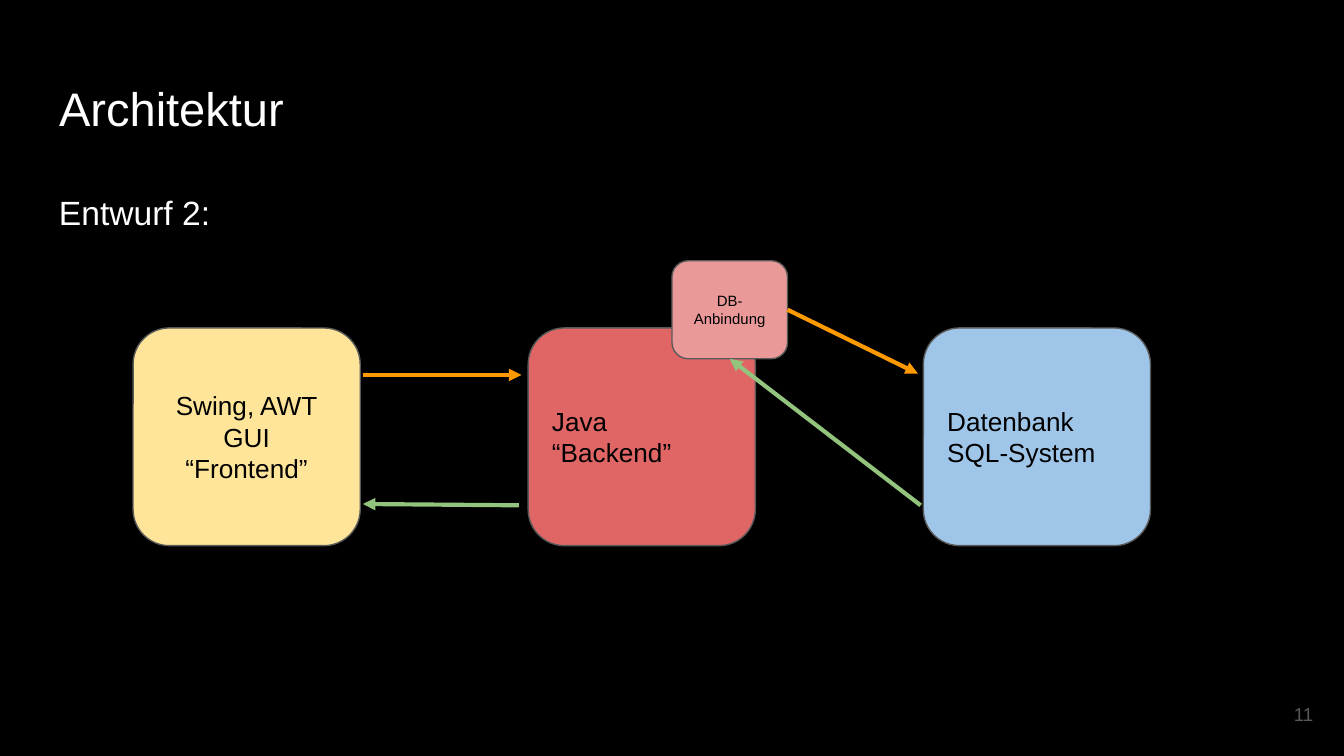
import pptx
import pptx.util
from lxml import etree
from pptx.dml.color import RGBColor
from pptx.enum.shapes import MSO_CONNECTOR, MSO_SHAPE
from pptx.enum.text import MSO_ANCHOR, MSO_AUTO_SIZE, PP_ALIGN
from pptx.oxml.ns import qn
from pptx.util import Inches, Pt

SLIDE_WIDTH = 10
SLIDE_HEIGHT = SLIDE_WIDTH * 9 / 16
WHITE, BLACK, GREY = "FFFFFF", "000000", "595959"
REQUEST, RESPONSE = "FF9900", "93C47D"
LEFT, CENTER, RIGHT = PP_ALIGN.LEFT, PP_ALIGN.CENTER, PP_ALIGN.RIGHT

TITLE = "Architektur"
SUBTITLE = "Entwurf 2:"
PAGE_NUMBER = "11"

TIERS = [
    ("Swing, AWT\nGUI\n“Frontend”", "FFE599", CENTER),
    ("Java “Backend”", "E06666", LEFT),
    ("Datenbank SQL-System", "9FC5E8", LEFT),
]
TIER_LEFT, TIER_TOP, TIER_WIDTH, TIER_HEIGHT = 0.99, 2.44, 1.69, 1.62
TIER_STEP = 2.94
ADAPTER = ("DB-Anbindung", "EA9999", CENTER)
ADAPTER_AREA = (5, 1.94, 0.86, 0.73)

# Start, end, colour, then the sides of the adapter joined at start and end
ARROWS = [
    ((5.86, 2.3), (6.83, 2.78), REQUEST, 3, None),
    ((2.7, 2.79), (3.88, 2.79), REQUEST, None, None),
    ((6.85, 3.76), (5.43, 2.67), RESPONSE, None, 2),
    ((3.86, 3.76), (2.7, 3.75), RESPONSE, None, None),
]


def color(hex_string):
    return RGBColor.from_string(hex_string)


def write(shape, text, size, hex_string, align=LEFT, anchor=MSO_ANCHOR.TOP):
    frame = shape.text_frame
    frame.text = text
    frame.word_wrap = True
    frame.auto_size = MSO_AUTO_SIZE.NONE
    frame.vertical_anchor = anchor
    frame.margin_left = frame.margin_right = Inches(0.1)
    frame.margin_top = frame.margin_bottom = Inches(0.1)
    for para in frame.paragraphs:
        para.alignment = align
        for span in para.runs:
            span.font.name = "Arial"
            span.font.size = Pt(size)
            span.font.color.rgb = color(hex_string)


def add_box(slide, area, content, size):
    text, fill, align = content
    box = slide.shapes.add_shape(
        MSO_SHAPE.FLOWCHART_ALTERNATE_PROCESS, *map(Inches, area))
    box.shadow.inherit = False
    box.fill.solid()
    box.fill.fore_color.rgb = color(fill)
    box.line.color.rgb = color(GREY)
    box.line.width = Pt(0.75)
    write(box, text, size, BLACK, align, MSO_ANCHOR.MIDDLE)
    return box


def add_arrow(slide, start, end, hex_string):
    arrow = slide.shapes.add_connector(
        MSO_CONNECTOR.STRAIGHT, *map(Inches, start + end))
    arrow.line.color.rgb = color(hex_string)
    arrow.line.width = Pt(2.25)
    outline = arrow._element.spPr.find(qn("a:ln"))
    etree.SubElement(outline, qn("a:tailEnd"), type="triangle")
    etree.SubElement(arrow._element.spPr, qn("a:effectLst"))
    return arrow


def main():
    deck = pptx.Presentation()
    deck.slide_width, deck.slide_height = Inches(SLIDE_WIDTH), Inches(SLIDE_HEIGHT)
    slide = deck.slides.add_slide(deck.slide_layouts[5])
    slide.background.fill.solid()
    slide.background.fill.fore_color.rgb = color(BLACK)

    title = slide.shapes.title
    title.left, title.top = Inches(0.34), Inches(0.49)
    title.width, title.height = Inches(9.32), Inches(0.63)
    write(title, TITLE, 25.2, WHITE)

    subtitle = slide.shapes.add_textbox(*map(Inches, (0.34, 1.28, 9.32, 3.74)))
    write(subtitle, SUBTITLE, 18, WHITE)
    subtitle_para = subtitle.text_frame.paragraphs[0]
    subtitle_para.line_spacing = 1.15
    subtitle_para.space_after = Pt(12)

    number = slide.shapes.add_textbox(*map(Inches, (9.27, 5.1, 0.6, 0.43)))
    write(number, PAGE_NUMBER, 10, GREY, RIGHT, MSO_ANCHOR.MIDDLE)

    for index, tier in enumerate(TIERS):
        left = TIER_LEFT + index * TIER_STEP
        add_box(slide, (left, TIER_TOP, TIER_WIDTH, TIER_HEIGHT), tier, 14)
    adapter = add_box(slide, ADAPTER_AREA, ADAPTER, 8)

    for start, end, hex_string, start_side, end_side in ARROWS:
        arrow = add_arrow(slide, start, end, hex_string)
        if start_side is not None:
            arrow.begin_connect(adapter, start_side)
        if end_side is not None:
            arrow.end_connect(adapter, end_side)

    deck.save("out.pptx")


if __name__ == "__main__":
    main()
